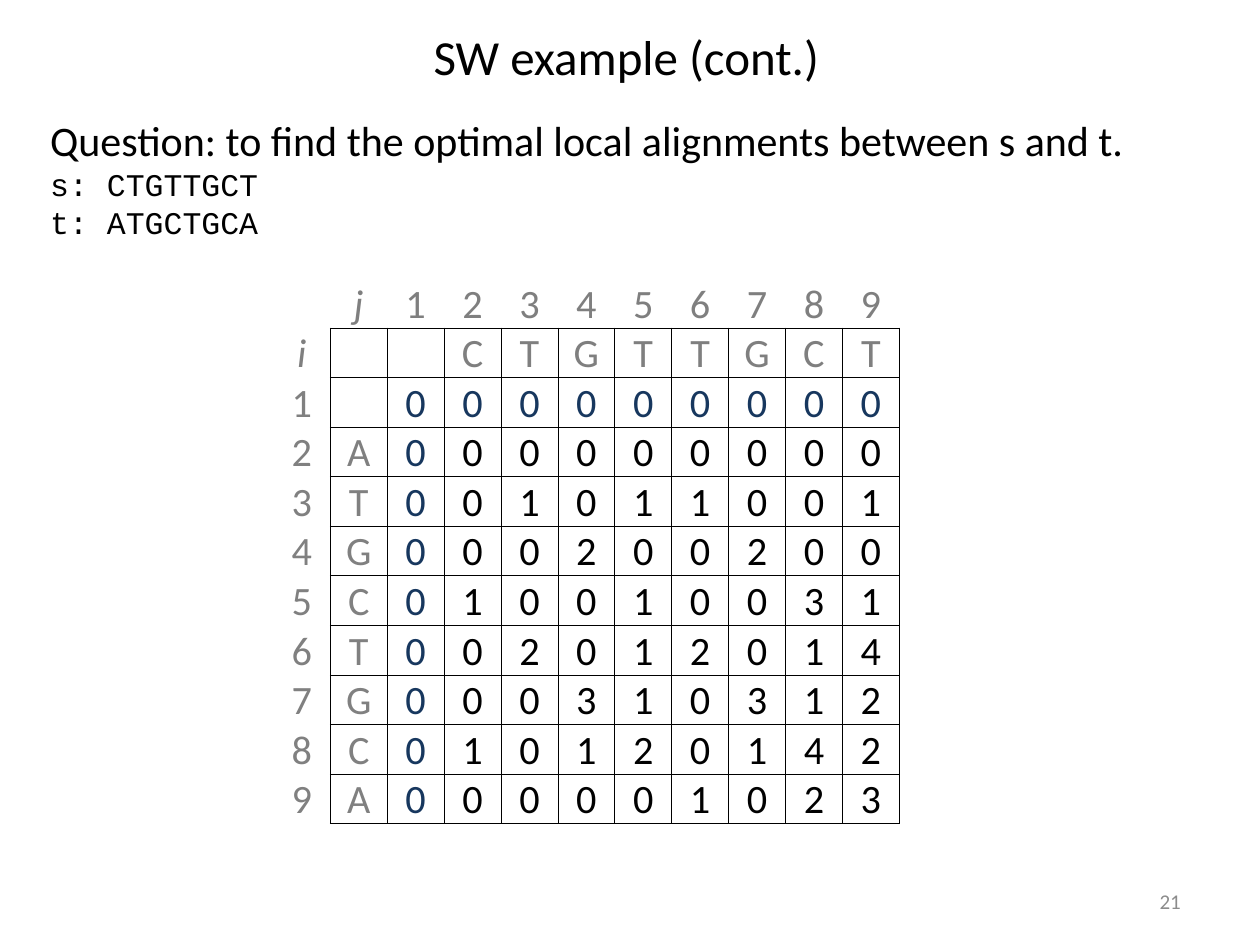
from typing import NamedTuple

from lxml.etree import SubElement
from pptx import Presentation
from pptx.dml.color import RGBColor
from pptx.enum.text import MSO_ANCHOR, PP_ALIGN
from pptx.oxml.ns import qn
from pptx.util import Inches, Pt

BLACK = RGBColor(0x00, 0x00, 0x00)
INDEX_GREY = RGBColor(0x7F, 0x7F, 0x7F)
LABEL_GREY = RGBColor(0x80, 0x80, 0x80)
NUMBER_GREY = RGBColor(0x8C, 0x8C, 0x8C)
BORDER_BLUE = RGBColor(0x17, 0x37, 0x5E)

SCORES = (
    " j123456789",
    "i  CTGTTGCT",
    "1 000000000",
    "2A000000000",
    "3T001011001",
    "4G000200200",
    "5C010010031",
    "6T002012014",
    "7G000310312",
    "8C010120142",
    "9A000001023",
)


class Line(NamedTuple):
    text: str
    size: float
    font: str = "Calibri"
    color: RGBColor = BLACK


class Block(NamedTuple):
    left: float
    top: float
    width: float
    height: float
    lines: tuple[Line, ...]
    align: PP_ALIGN = PP_ALIGN.LEFT
    anchor: MSO_ANCHOR = MSO_ANCHOR.MIDDLE


BLOCKS = (
    Block(7.14, 6.95, 2.33, 0.4, (Line("21", 12, color=NUMBER_GREY),), PP_ALIGN.RIGHT),
    Block(0.72, 0.08, 8.5, 0.73, (Line("SW example (cont.)", 28),), PP_ALIGN.CENTER),
    Block(0.3, 0.86, 8.85, 1.11, (
        Line("Question: to find the optimal local alignments between s and t.", 24),
        Line("s: CTGTTGCT", 18, "Courier New"),
        Line("t: ATGCTGCA", 18, "Courier New"),
    ), anchor=MSO_ANCHOR.TOP),
)


def style_font(font, size: float, name: str, color: RGBColor) -> None:
    font.size = Pt(size)
    font.name = name
    font.color.rgb = color


def draw_block(slide, block: Block) -> None:
    box = slide.shapes.add_textbox(
        Inches(block.left), Inches(block.top), Inches(block.width), Inches(block.height))
    frame = box.text_frame
    frame.word_wrap = True
    frame.vertical_anchor = block.anchor
    frame.text = "\n".join(line.text for line in block.lines)
    for paragraph, line in zip(frame.paragraphs, block.lines):
        paragraph.alignment = block.align
        style_font(paragraph.runs[0].font, line.size, line.font, line.color)


def set_borders(cell, row: int, column: int) -> None:
    inside = row > 0 and column > 0
    visible = {
        "a:lnL": inside,
        "a:lnR": row > 0,
        "a:lnT": inside,
        "a:lnB": column > 0,
    }
    properties = cell._tc.get_or_add_tcPr()
    for side, shown in visible.items():
        border = SubElement(properties, qn(side), w=str(Pt(0.5)))
        if shown:
            fill = SubElement(border, qn("a:solidFill"))
            SubElement(fill, qn("a:srgbClr"), val=str(BLACK))
        else:
            SubElement(border, qn("a:noFill"))


def score_color(row: int, column: int) -> RGBColor:
    if row < 2:
        return INDEX_GREY
    if column < 2:
        return LABEL_GREY
    return BORDER_BLUE if row == 2 or column == 2 else BLACK


def draw_cell(cell, row: int, column: int, symbol: str) -> None:
    set_borders(cell, row, column)
    cell.fill.background()
    cell.margin_left = cell.margin_right = cell.margin_top = Inches(0.01)
    cell.margin_bottom = 0
    cell.vertical_anchor = MSO_ANCHOR.MIDDLE
    paragraph = cell.text_frame.paragraphs[0]
    paragraph.text = symbol.strip()
    paragraph.alignment = PP_ALIGN.CENTER
    for run in paragraph.runs:
        style_font(run.font, 23, "Calibri", score_color(row, column))
        run.font.italic = symbol in "ij"


def draw_scores(slide, scores: tuple[str, ...]) -> None:
    count = len(scores)
    table = slide.shapes.add_table(
        count, count, Inches(2.17), Inches(2.21), Inches(4.97), Inches(4.36)).table
    table.first_row = False
    table.horz_banding = False
    for row, symbols in enumerate(scores):
        table.rows[row].height = Inches(0.38)
        for column, symbol in enumerate(symbols):
            draw_cell(table.cell(row, column), row, column, symbol)


def main() -> None:
    """Build the local alignment score slide."""
    presentation = Presentation()
    presentation.slide_width = Inches(10)
    presentation.slide_height = Inches(7.5)
    slide = presentation.slides.add_slide(presentation.slide_layouts[6])
    number, title, question = BLOCKS
    draw_block(slide, number)
    draw_block(slide, title)
    draw_scores(slide, SCORES)
    draw_block(slide, question)
    presentation.save("out.pptx")


if __name__ == "__main__":
    main()
